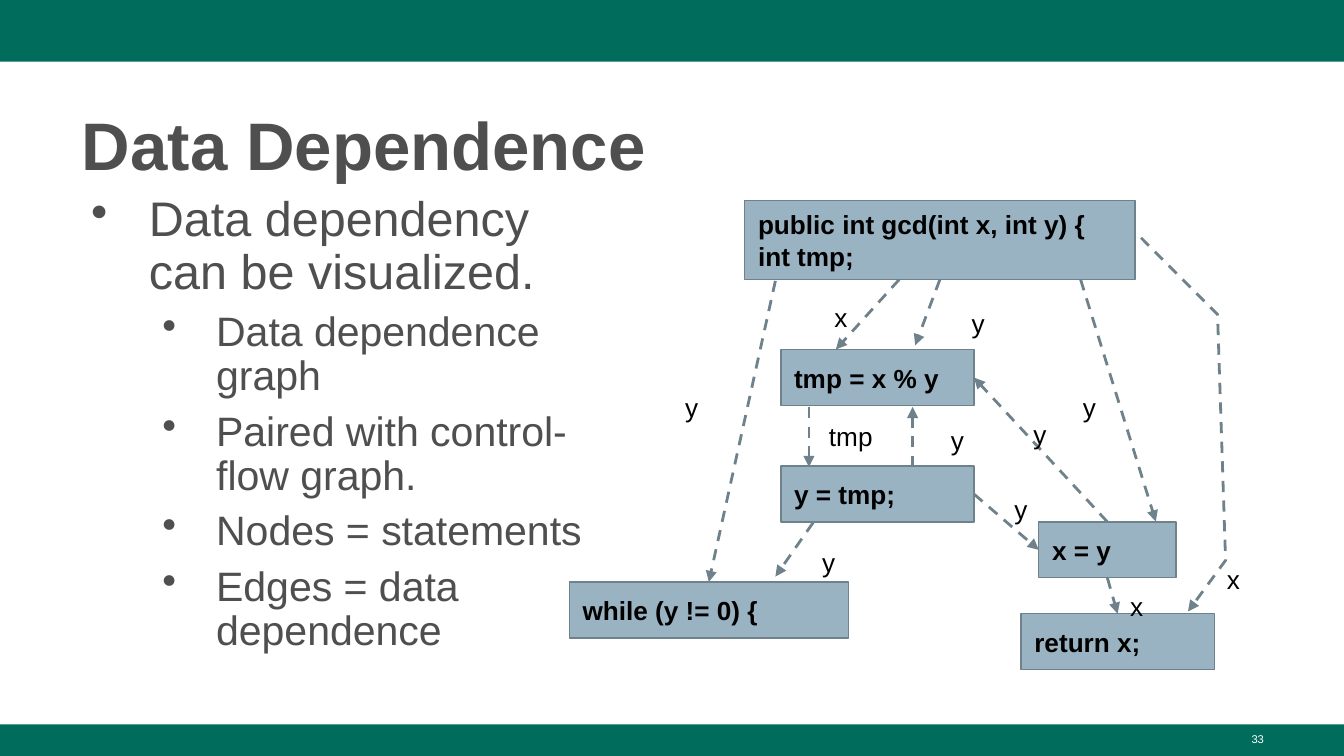
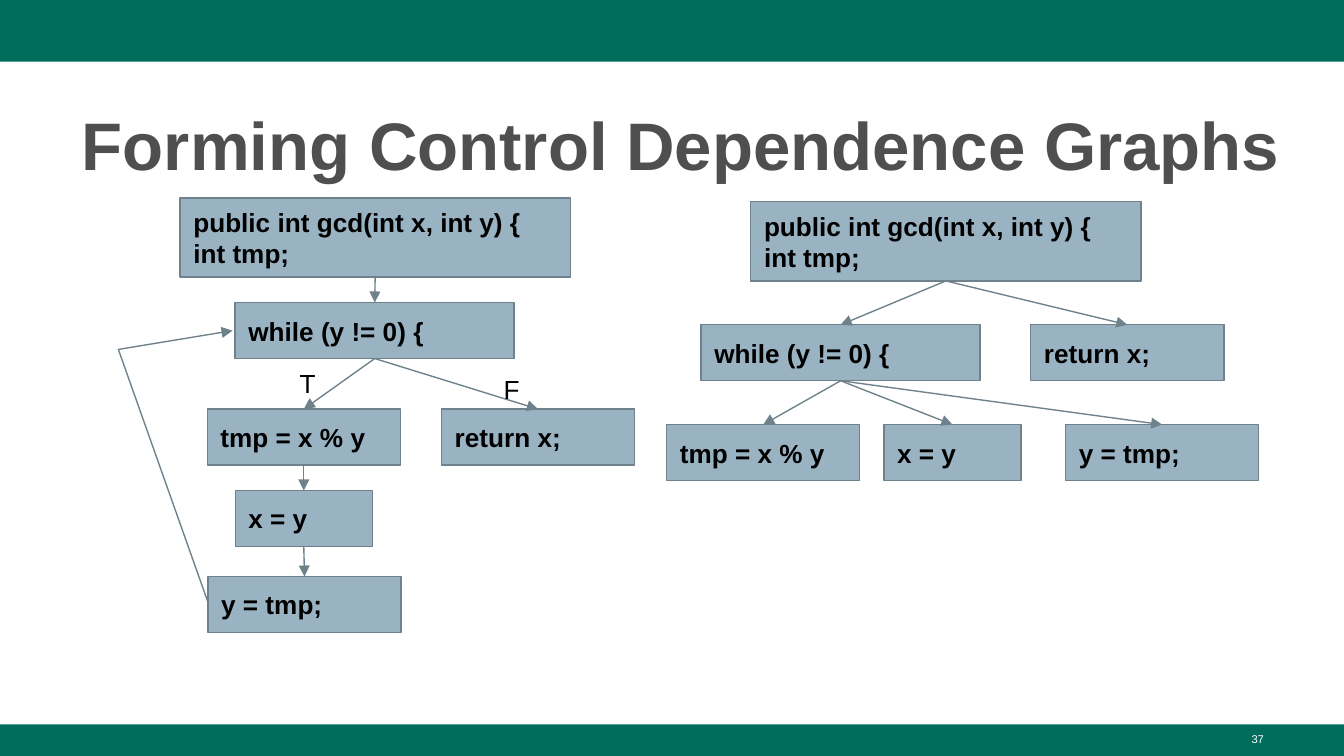
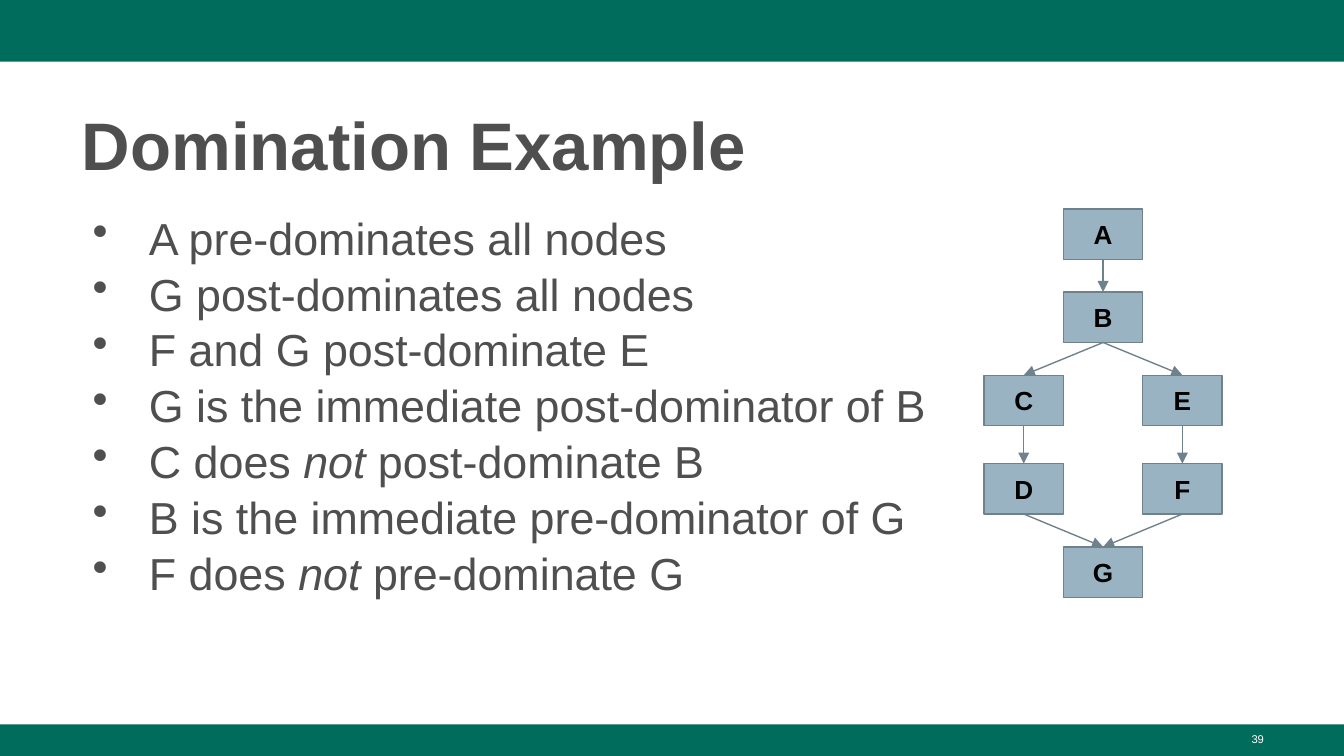
from lxml import etree
from pptx import Presentation
from pptx.dml.color import RGBColor
from pptx.enum.dml import MSO_LINE
from pptx.enum.shapes import MSO_CONNECTOR, MSO_SHAPE
from pptx.enum.text import MSO_ANCHOR, MSO_AUTO_SIZE, PP_ALIGN
from pptx.oxml.ns import qn
from pptx.util import Pt

RECTANGLE = MSO_SHAPE.RECTANGLE
STRAIGHT = MSO_CONNECTOR.STRAIGHT
DASH = MSO_LINE.DASH
LEFT, CENTER, RIGHT = PP_ALIGN.LEFT, PP_ALIGN.CENTER, PP_ALIGN.RIGHT
TOP, MIDDLE = MSO_ANCHOR.TOP, MSO_ANCHOR.MIDDLE
NO_AUTOFIT = MSO_AUTO_SIZE.NONE

TOP_SIDE, LEFT_SIDE, BOTTOM_SIDE, RIGHT_SIDE = range(4)

WIDTH, HEIGHT = 720, 405
FONT = "Arial"
COLORS = {
    "band": "006C5C",
    "heading": "4F4F4F",
    "node": "99B3C2",
    "edge": "6F828C",
    "ink": "000000",
    "number": "FFFFFF",
}
BULLET_STYLES = {
    "main": {"size": 26, "margin": 36, "indent": -31, "before": 10, "spacing": 0.9},
    "sub": {"size": 22, "margin": 72, "indent": -28.8, "before": 6, "spacing": 0.9},
    "even": {"size": 24, "margin": 36, "indent": -30.2, "before": 0, "spacing": 1.04},
}
STATEMENTS = {
    "header": (["public int gcd(int x, int y) {", "int tmp;"], 209, 42.5),
    "tmp": (["tmp = x % y"], 103.5, 30),
    "y": (["y = tmp;"], 103.5, 30),
    "while": (["while (y != 0) {"], 149.5, 30),
    "x": (["x = y"], 73.5, 30),
    "return": (["return x;"], 103.5, 30),
}


def color(name):
    return RGBColor.from_string(COLORS[name])


class Deck:
    def __init__(self):
        self.presentation = Presentation()
        self.presentation.slide_width = Pt(WIDTH)
        self.presentation.slide_height = Pt(HEIGHT)
        self.layout = self.presentation.slide_layouts[5]
        self.slide = None

    def start_slide(self, title, number, title_width=647.3):
        first = self.slide is None
        self.slide = self.presentation.slides.add_slide(self.layout)
        if first:
            self.move_bands_to_layout()
        shape = self.slide.shapes.title
        shape.left, shape.top = Pt(36.7), Pt(48.2)
        shape.width, shape.height = Pt(title_width), Pt(52.6)
        frame = self.frame(shape, 3.6)
        paragraph = frame.paragraphs[0]
        paragraph.alignment = LEFT
        paragraph.line_spacing = 1.08
        self.run(paragraph, title, 36, "heading", bold=True)
        self.text([str(number)], 516.2, 388.8, 168, 16.6, 6, "number", RIGHT, 3.6)

    def move_bands_to_layout(self):
        tree = self.layout.shapes.element
        for placeholder in list(self.layout.placeholders)[1:]:
            tree.remove(placeholder.element)
        for top, height in ((0, 33.1), (388.1, 16.9)):
            tree.append(self.rectangle(0, top, WIDTH, height, "band").element)

    def frame(self, shape, vertical_inset=7.2, anchor=TOP):
        frame = shape.text_frame
        frame.word_wrap = True
        frame.auto_size = NO_AUTOFIT
        frame.vertical_anchor = anchor
        frame.margin_left = frame.margin_right = Pt(7.2)
        frame.margin_top = frame.margin_bottom = Pt(vertical_inset)
        return frame

    def run(self, paragraph, text, size, ink, bold=False, italic=False):
        run = paragraph.add_run()
        run.text = text
        run.font.name = FONT
        run.font.size = Pt(size)
        run.font.bold = bold
        run.font.italic = italic
        run.font.color.rgb = color(ink)

    def paragraphs(self, frame, items):
        for index, item in enumerate(items):
            yield index, item, frame.add_paragraph() if index else frame.paragraphs[0]

    def text_box(self, left, top, width, height):
        return self.slide.shapes.add_textbox(Pt(left), Pt(top), Pt(width), Pt(height))

    def text(self, lines, left, top, width, height, size, ink, align=LEFT, inset=7.2):
        frame = self.frame(self.text_box(left, top, width, height), inset)
        self.fill_lines(frame, lines, size, ink, align)

    def fill_lines(self, frame, lines, size, ink, align, bold=False):
        for _, line, paragraph in self.paragraphs(frame, lines):
            paragraph.alignment = align
            self.run(paragraph, line, size, ink, bold)

    def label(self, text, left, top, width=28, height=20):
        self.text([text], left, top, width, height, 14, "ink")

    def bullets(self, items, top, width):
        frame = self.frame(self.text_box(36.7, top, width, 274.3), 3.6)
        for index, (style_name, text), paragraph in self.paragraphs(frame, items):
            style = BULLET_STYLES[style_name]
            properties = paragraph._p.get_or_add_pPr()
            properties.set("marL", str(Pt(style["margin"])))
            properties.set("indent", str(Pt(style["indent"])))
            bullet_color = etree.SubElement(properties, qn("a:buClr"))
            etree.SubElement(bullet_color, qn("a:srgbClr"), val=COLORS["heading"])
            etree.SubElement(properties, qn("a:buChar"), char="•")
            paragraph.line_spacing = style["spacing"]
            paragraph.space_before = Pt(style["before"] if index else 0)
            if style_name == "sub":
                paragraph.level = 1
            for position, piece in enumerate(text.split("*")):
                self.run(paragraph, piece, style["size"], "heading", italic=position % 2 == 1)

    def rectangle(self, left, top, width, height, fill):
        shape = self.slide.shapes.add_shape(
            RECTANGLE, Pt(left), Pt(top), Pt(width), Pt(height))
        shape.shadow.inherit = False
        shape.fill.solid()
        shape.fill.fore_color.rgb = color(fill)
        shape.line.fill.background()
        return shape

    def node(self, lines, left, top, width, height, align=LEFT):
        shape = self.rectangle(left, top, width, height, "node")
        shape.line.color.rgb = color("edge")
        shape.line.width = Pt(0.75)
        self.fill_lines(self.frame(shape, anchor=MIDDLE), lines, 14, "ink", align, bold=True)
        return shape

    def statements(self, places):
        nodes = {}
        for name, (left, top) in places.items():
            lines, width, height = STATEMENTS[name]
            nodes[name] = self.node(lines, left, top, width, height)
        return nodes

    def arrow_style(self, shape, dashed):
        shape.line.color.rgb = color("edge")
        shape.line.width = Pt(1.5 if dashed else 0.75)
        if dashed:
            shape.line.dash_style = DASH
        properties = shape.element.spPr
        etree.SubElement(properties.find(qn("a:ln")), qn("a:tailEnd"), type="triangle")
        etree.SubElement(properties, qn("a:effectLst"))

    def edge(self, start, end, dashed=False):
        connector = self.slide.shapes.add_connector(STRAIGHT, 0, 0, 0, 0)
        if isinstance(start[0], (int, float)):
            connector.begin_x, connector.begin_y = map(Pt, start)
        else:
            connector.begin_connect(*start)
        if isinstance(end[0], (int, float)):
            connector.end_x, connector.end_y = map(Pt, end)
        else:
            connector.end_connect(*end)
        self.arrow_style(connector, dashed)

    def tree_edges(self, nodes, pairs):
        for parent, child in pairs:
            self.edge((nodes[parent], BOTTOM_SIDE), (nodes[child], TOP_SIDE))

    def bent_arrow(self, points, dashed=False):
        corners = [(Pt(x), Pt(y)) for x, y in points]
        builder = self.slide.shapes.build_freeform(*corners[0])
        builder.add_line_segments(corners[1:], close=False)
        shape = builder.convert_to_shape()
        shape.fill.background()
        self.arrow_style(shape, dashed)


def data_dependence(deck):
    deck.start_slide("Data Dependence", 33)
    deck.bullets([
        ("main", "Data dependency can be visualized."),
        ("sub", "Data dependence graph"),
        ("sub", "Paired with control-flow graph."),
        ("sub", "Nodes = statements"),
        ("sub", "Edges = data dependence"),
    ], 100.8, 298)
    nodes = deck.statements({
        "header": (399, 107.3), "tmp": (418.3, 187.3), "y": (418.3, 249.7),
        "while": (305, 311.8), "x": (556.5, 279.6), "return": (547, 328.8),
    })
    edges = [
        ((481.7, 149.8), (447.8, 187.2)),
        ((nodes["header"], BOTTOM_SIDE), (490.3, 185)),
        ((488.9, 250.2), (488.9, 218)),
        ((433.4, 218), (433.4, 250.2)),
        ((415.4, 150.5), (nodes["while"], TOP_SIDE)),
        ((435.6, 280), (415.4, 308.9)),
        ((nodes["y"], RIGHT_SIDE), (nodes["x"], LEFT_SIDE)),
        ((nodes["x"], TOP_SIDE), (nodes["tmp"], RIGHT_SIDE)),
        ((578.9, 149.8), (619.2, 279.4)),
        ((nodes["x"], BOTTOM_SIDE), (nodes["return"], TOP_SIDE)),
    ]
    for start, end in edges:
        deck.edge(start, end, dashed=True)
    deck.bent_arrow([(611.3, 127.4), (652.3, 168.5), (656.6, 300.2), (636.5, 327.6)], dashed=True)
    labels = [
        ("x", 440, 154.1), ("y", 513.4, 157.7), ("y", 502.3, 220.3),
        ("y", 360, 202.3), ("y", 433.4, 285.8), ("y", 536.4, 257),
        ("y", 546.5, 216.7), ("y", 573.1, 202.3), ("x", 598.3, 308.9),
        ("x", 650.2, 294.5),
    ]
    for text, left, top in labels:
        deck.label(text, left, top)
    deck.label("tmp", 437, 219.6, 49, 11.5)


def control_dependence(deck):
    deck.start_slide("Forming Control Dependence Graphs", 37, 666.7)
    flow = deck.statements({
        "header": (96.5, 106), "tmp": (111, 219.2), "y": (111.4, 308.9),
        "while": (126, 162.1), "x": (126, 262.8), "return": (236.5, 219.2),
    })
    deck.tree_edges(flow, [
        ("header", "while"), ("while", "return"), ("while", "tmp"),
        ("tmp", "x"), ("x", "y"),
    ])
    deck.label("T", 153.4, 192.2, 18.7, 9.4)
    deck.label("F", 262.8, 195.1, 36, 9.4)
    deck.bent_arrow([(111.4, 322.6), (63.4, 187.2), (124.6, 177.1)])
    dependence = deck.statements({
        "header": (402.2, 108), "tmp": (357.1, 227.5), "y": (570.9, 227.5),
        "while": (375.6, 174), "x": (473.5, 227.5), "return": (552.2, 174),
    })
    deck.tree_edges(dependence, [
        ("header", "return"), ("header", "while"), ("while", "tmp"),
        ("while", "x"), ("while", "y"),
    ])


def domination_example(deck):
    deck.start_slide("Domination Example", 39)
    facts = [
        "A pre-dominates all nodes",
        "G post-dominates all nodes",
        "F and G post-dominate E",
        "G is the immediate post-dominator of B",
        "C does *not* post-dominate B",
        "B is the immediate pre-dominator of G",
        "F does *not* pre-dominate G",
    ]
    deck.bullets([("even", fact) for fact in facts], 108, 487.4)
    width, height = 42.5, 27
    row_tops = [112, 156.5, 201, 248.4, 293]
    grid = {"A": (1, 0), "B": (1, 1), "C": (0, 2), "D": (0, 3),
            "E": (2, 2), "F": (2, 3), "G": (1, 4)}
    nodes = {
        letter: deck.node([letter], 527.2 + column * width, row_tops[row], width, height, CENTER)
        for letter, (column, row) in grid.items()
    }
    deck.tree_edges(nodes, ["AB", "BC", "BE", "CD", "EF", "DG", "FG"])


def main():
    deck = Deck()
    data_dependence(deck)
    control_dependence(deck)
    domination_example(deck)
    deck.presentation.save("out.pptx")


if __name__ == "__main__":
    main()
